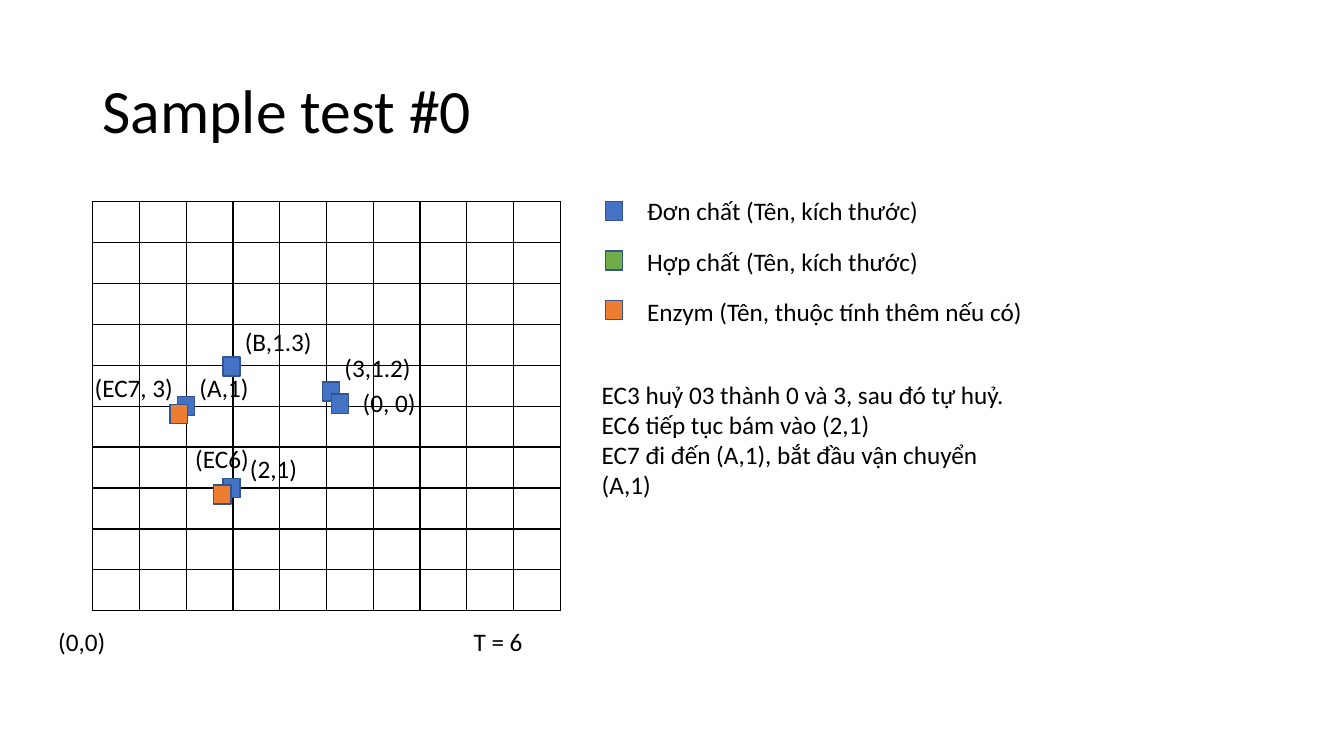
from dataclasses import dataclass

from lxml import etree
from pptx import Presentation
from pptx.dml.color import RGBColor
from pptx.enum.shapes import MSO_SHAPE
from pptx.enum.text import MSO_ANCHOR, MSO_AUTO_SIZE
from pptx.oxml.ns import qn
from pptx.util import Inches, Pt

RECTANGLE = MSO_SHAPE.RECTANGLE
TOP, MIDDLE = MSO_ANCHOR.TOP, MSO_ANCHOR.MIDDLE
GROW, FIXED = MSO_AUTO_SIZE.SHAPE_TO_FIT_TEXT, MSO_AUTO_SIZE.NONE


@dataclass(frozen=True)
class Theme:
    font: str = "Calibri"
    ink: str = "000000"
    element: str = "4472C4"
    compound: str = "70AD47"
    enzyme: str = "ED7D31"
    outline: str = "325491"
    title_size: int = 44
    body_size: int = 18
    line_width: int = 1


def write(frame, text, *, theme, size, spacing=None):
    """Fill a text frame, one paragraph per line of text."""
    for index, line in enumerate(text.split("\n")):
        paragraph = frame.paragraphs[0] if index == 0 else frame.add_paragraph()
        if spacing:
            paragraph.line_spacing = spacing
        run = paragraph.add_run()
        run.text = line
        run.font.name = theme.font
        run.font.size = Pt(size)
        run.font.color.rgb = RGBColor.from_string(theme.ink)


class LatticeSlide:
    """Places parts by lattice column and row, counted from the lattice's lower left."""

    CELLS = 10
    COLUMN, ROW = 0.464, 0.406
    LEFT, BOTTOM = 0.92, 6.06
    MARKER_WIDTH, MARKER_HEIGHT = 0.17, 0.19

    def __init__(self, slide, theme):
        self.shapes = slide.shapes
        self.theme = theme

    def point(self, column, row):
        return self.LEFT + column * self.COLUMN, self.BOTTOM - row * self.ROW

    def lattice(self):
        count = self.CELLS
        left, top = self.point(0, count)
        table = self.shapes.add_table(
            count, count, Inches(left), Inches(top),
            Inches(count * self.COLUMN), Inches(count * self.ROW)).table
        table.first_row = table.horz_banding = False
        for column in table.columns:
            column.width = Inches(self.COLUMN)
        for row in table.rows:
            row.height = Inches(self.ROW)
        for cell in table.iter_cells():
            cell.margin_top = cell.margin_bottom = 0
            self.border(cell)
            cell.fill.background()

    def border(self, cell):
        properties = cell._tc.get_or_add_tcPr()
        for side in ("a:lnL", "a:lnR", "a:lnT", "a:lnB"):
            line = etree.SubElement(properties, qn(side), w=str(Pt(self.theme.line_width)))
            fill = etree.SubElement(line, qn("a:solidFill"))
            etree.SubElement(fill, qn("a:srgbClr"), val=self.theme.ink)

    def marker(self, column, row, color):
        """A small square centred on a lattice point."""
        x, y = self.point(column, row)
        square = self.shapes.add_shape(
            RECTANGLE, Inches(x - self.MARKER_WIDTH / 2), Inches(y - self.MARKER_HEIGHT / 2),
            Inches(self.MARKER_WIDTH), Inches(self.MARKER_HEIGHT))
        square.shadow.inherit = False
        square.fill.solid()
        square.fill.fore_color.rgb = RGBColor.from_string(color)
        square.line.color.rgb = RGBColor.from_string(self.theme.outline)
        square.line.width = Pt(self.theme.line_width)

    def text(self, content, column, row, columns=2.63, rows=1, *,
             size=None, anchor=TOP, fit=GROW, spacing=None):
        """A text box whose upper left corner is at a lattice point."""
        left, top = self.point(column, row)
        box = self.shapes.add_textbox(
            Inches(left), Inches(top),
            Inches(columns * self.COLUMN), Inches(rows * self.ROW))
        frame = box.text_frame
        frame.word_wrap = True
        frame.auto_size = fit
        frame.vertical_anchor = anchor
        write(frame, content, theme=self.theme,
              size=size or self.theme.body_size, spacing=spacing)


def main():
    theme = Theme()
    deck = Presentation()
    deck.slide_width, deck.slide_height = Inches(13.333), Inches(7.5)
    page = LatticeSlide(deck.slides.add_slide(deck.slide_layouts[6]), theme)

    # Title and lattice
    page.text("Sample test #0", 0, 13.94, 24.78, 3.57, size=theme.title_size,
              anchor=MIDDLE, fit=FIXED, spacing=0.9)
    page.lattice()

    # Particles, enzymes on top of what they hold
    particles = [
        (1.99, 5.01, theme.element),
        (2.97, 3, theme.element),
        (2.97, 5.97, theme.element),
        (2.77, 2.84, theme.enzyme),
        (1.84, 4.81, theme.enzyme),
        (5.1, 5.36, theme.element),
        (5.29, 5.06, theme.element),
    ]
    for column, row, color in particles:
        page.marker(column, row, color)

    # Particle names
    names = [
        ("(2,1)", 3.15, 3.97),
        ("(A,1)", 2.07, 5.94),
        ("(B,1.3)", 3.04, 7.07),
        ("(EC6)", 1.98, 4.21),
        ("(EC7, 3)", -0.17, 5.96),
        ("(3,1.2)", 5.17, 6.45),
        ("(0, 0)", 5.56, 5.59),
    ]
    for name, column, row in names:
        page.text(name, column, row)

    # Origin and time step
    page.text("(0,0)", -0.95, -0.25, 3.9)
    page.text("T = 6", 7.93, -0.25, 2.46)

    # Legend
    legend = [
        ("Đơn chất (Tên, kích thước)", theme.element, 7.69),
        ("Hợp chất (Tên, kích thước)", theme.compound, 6.66),
        ("Enzym (Tên, thuộc tính thêm nếu có)", theme.enzyme, 10),
    ]
    for index, (meaning, color, columns) in enumerate(legend):
        page.marker(11.15, 9.77 - 1.21 * index, color)
        page.text(meaning, 11.64, 10.27 - 1.23 * index, columns)

    # What happens at this step
    page.text("EC3 huỷ 03 thành 0 và 3, sau đó tự huỷ.\n"
              "EC6 tiếp tục bám vào (2,1)\n"
              "EC7 đi đến (A,1), bắt đầu vận chuyển (A,1)",
              10.67, 5.79, 9.35, 3.23)

    deck.save("out.pptx")


if __name__ == "__main__":
    main()
